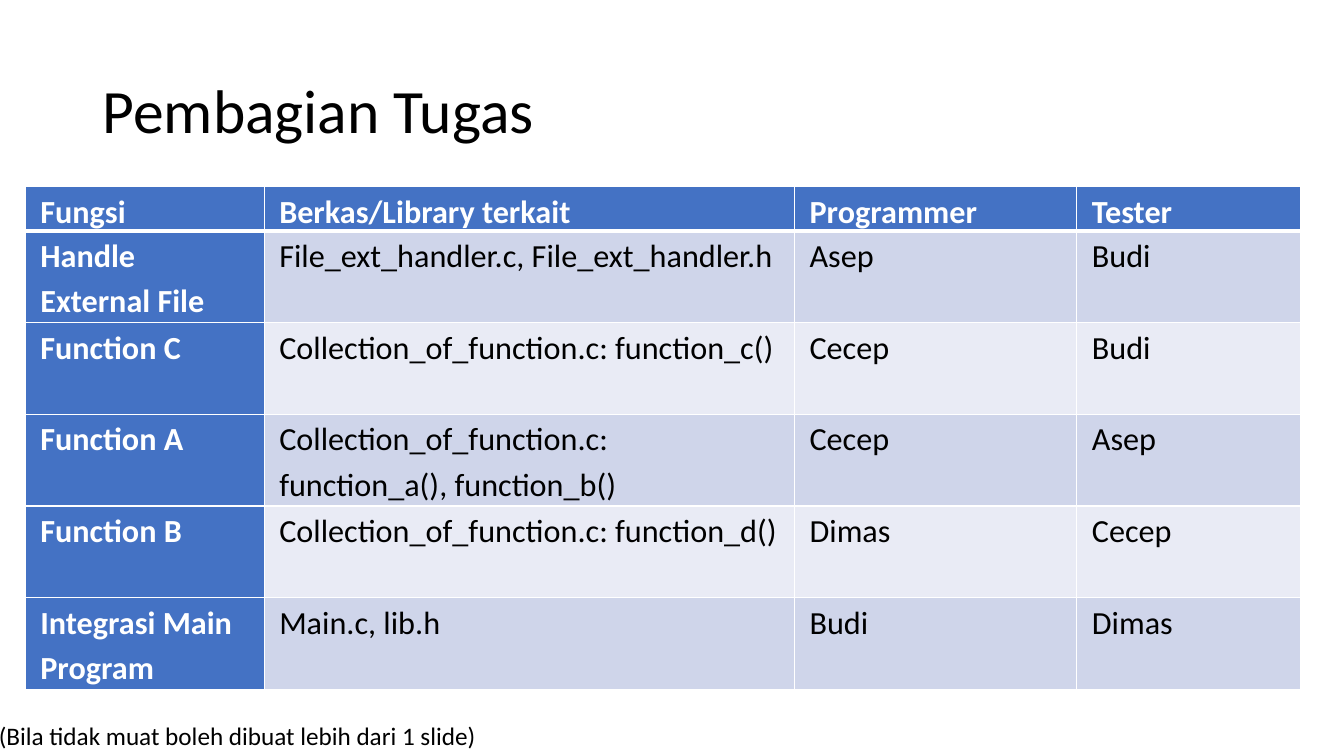
from lxml.etree import SubElement
from pptx import Presentation
from pptx.dml.color import RGBColor as RGB
from pptx.enum.text import MSO_ANCHOR as Anchor, MSO_AUTO_SIZE as AutoSize
from pptx.oxml.ns import qn
from pptx.util import Inches, Pt

FONT = "Calibri"
COLORS = {
    "text": "000000",
    "white": "FFFFFF",
    "header": "4472C4",
    "odd": "CFD5EA",
    "even": "E9EBF5",
}
COLUMNS = [2.37, 5.26, 2.8, 2.22]
HEADER_H, ROW_H = 0.44, 0.91
TASKS = [
    ["Fungsi", "Berkas/Library terkait", "Programmer", "Tester"],
    ["Handle External File", "File_ext_handler.c, File_ext_handler.h", "Asep", "Budi"],
    ["Function C", "Collection_of_function.c: function_c()", "Cecep", "Budi"],
    ["Function A", "Collection_of_function.c: function_a(), function_b()", "Cecep", "Asep"],
    ["Function B", "Collection_of_function.c: function_d()", "Dimas", "Cecep"],
    ["Integrasi Main Program", "Main.c, lib.h", "Budi", "Dimas"],
]


def add_run(p, text, size, color="text", bold=False):
    r = p.add_run()
    r.text = text
    r.font.name = FONT
    r.font.size = Pt(size)
    r.font.bold = bold
    r.font.color.rgb = RGB.from_string(COLORS[color])


def add_border(cell, side, width):
    """Draw one white edge; side is L, R, T or B. Call before filling the cell."""
    ln = SubElement(cell._tc.get_or_add_tcPr(), qn(f"a:ln{side}"), w=str(Pt(width)))
    fill = SubElement(ln, qn("a:solidFill"))
    SubElement(fill, qn("a:srgbClr"), val=COLORS["white"])


prs = Presentation()
prs.slide_width, prs.slide_height = Inches(13.33), Inches(7.5)
slide = prs.slides.add_slide(prs.slide_layouts[6])

# Title
title = slide.shapes.add_textbox(Inches(0.92), Inches(0.4), Inches(11.5), Inches(1.45))
tf = title.text_frame
tf.word_wrap = True
tf.vertical_anchor = Anchor.MIDDLE
p = tf.paragraphs[0]
p.line_spacing = 0.9
add_run(p, "Pembagian Tugas", 44)

# Task table
heights = [HEADER_H] + [ROW_H] * (len(TASKS) - 1)
table = slide.shapes.add_table(
    len(TASKS), len(COLUMNS), Inches(0.25), Inches(1.85),
    Inches(sum(COLUMNS)), Inches(sum(heights)),
).table
table.first_col = True
for column, width in zip(table.columns, COLUMNS):
    column.width = Inches(width)

for i, (row, height) in enumerate(zip(TASKS, heights)):
    table.rows[i].height = Inches(height)
    for j, text in enumerate(row):
        cell = table.cell(i, j)
        heading = i == 0 or j == 0
        cell.margin_left = cell.margin_right = Inches(0.15)
        cell.margin_top = cell.margin_bottom = 0
        for side in "LRTB":
            under_header = (i, side) in [(0, "B"), (1, "T")]
            add_border(cell, side, 3 if under_header else 1)
        band = "header" if heading else "odd" if i % 2 else "even"
        cell.fill.solid()
        cell.fill.fore_color.rgb = RGB.from_string(COLORS[band])
        p = cell.text_frame.paragraphs[0]
        p.line_spacing = 1.15
        p.space_before = Pt(12)
        add_run(p, text, 23, "white" if heading else "text", heading)

# Footnote
note = slide.shapes.add_textbox(Inches(-0.11), Inches(7.1), Inches(4.99), Inches(0.4))
tf = note.text_frame
tf.word_wrap = False
tf.auto_size = AutoSize.SHAPE_TO_FIT_TEXT
add_run(tf.paragraphs[0], "(Bila tidak muat boleh dibuat lebih dari 1 slide)", 18)

prs.save("out.pptx")
